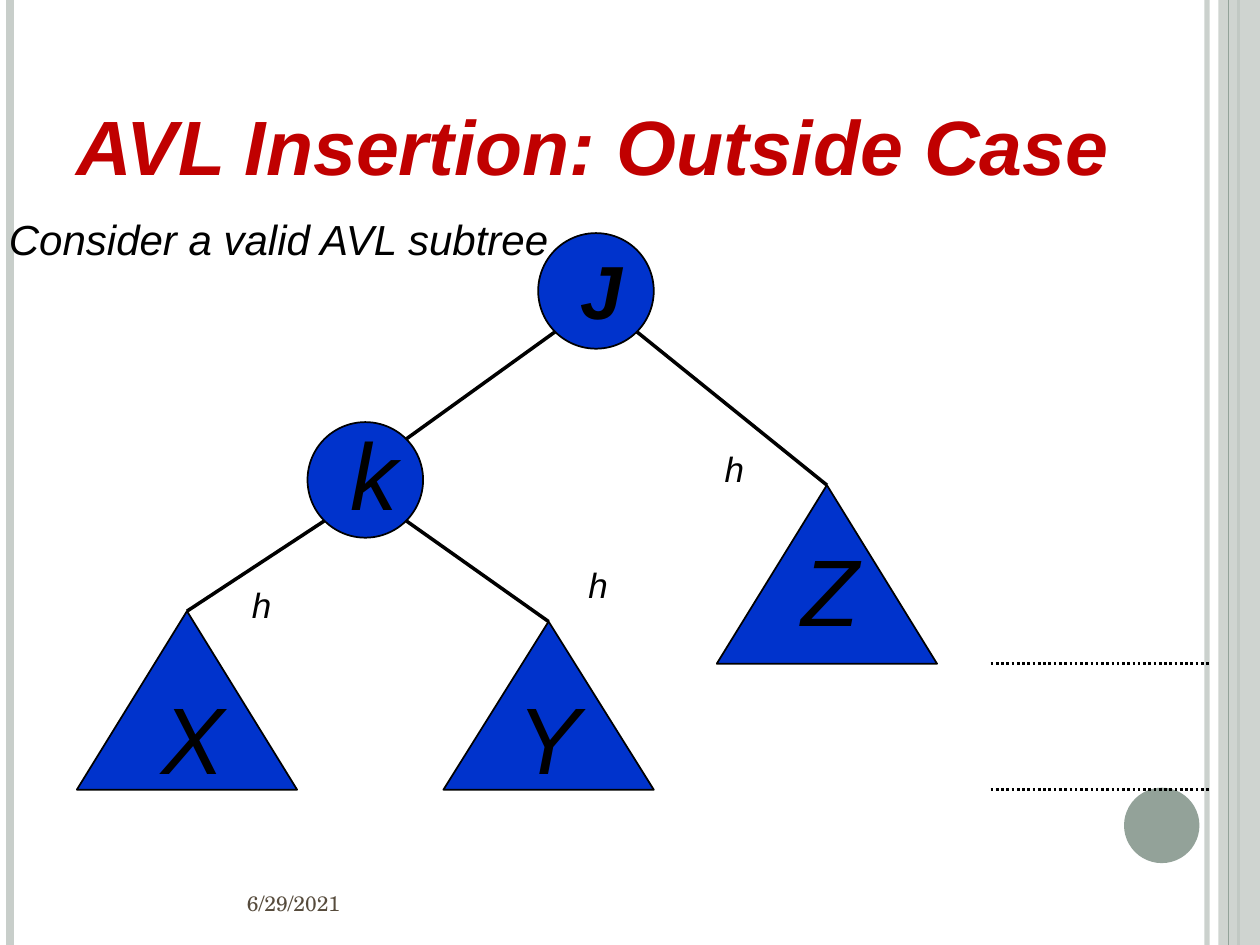
from lxml import etree
from pptx import Presentation
from pptx.dml import color
from pptx.enum import dml, shapes, text
from pptx.oxml import ns
from pptx import util as u

INK, BLUE, RED = "000000", "0033CC", "C00000"
PALE, SAGE, BROWN = "C8CECA", "93A299", "564B3C"
HIGH, WIDE = 19.05, 25.4


def paint(fill, tone, alpha=100):
    fill.solid()
    fill.fore_color.rgb = color.RGBColor.from_string(tone)
    if alpha < 100:
        return lambda part: etree.SubElement(
            next(part.element.spPr.iter(ns.qn("a:srgbClr"))),
            ns.qn("a:alpha"), val=str(alpha * 1000))


def draw(slide, kind, box, tone, edge=None, alpha=100):
    part = slide.shapes.add_shape(kind, *map(u.Cm, box))
    part.shadow.inherit = False
    fade = paint(part.fill, tone, alpha)
    if fade:
        fade(part)
    if edge:
        paint(part.line.fill, edge)
        part.line.width = u.Pt(1)
    else:
        part.line.fill.background()


def rule(slide, start, end, tone, width, alpha=100, dash=None):
    line = slide.shapes.add_connector(
        shapes.MSO_CONNECTOR.STRAIGHT, *map(u.Cm, (*start, *end)))
    line.line.width = u.Pt(width)
    fade = paint(line.line.fill, tone, alpha)
    if fade:
        fade(line)
    if dash:
        line.line.dash_style = dash
    etree.SubElement(line.element.spPr, ns.qn("a:effectLst"))


def write(slide, words, box, size, tone=INK, bold=False, slant=True,
          face="Arial", side=text.PP_ALIGN.LEFT, inset=0):
    part = slide.shapes.add_textbox(*map(u.Cm, box))
    frame = part.text_frame
    frame.word_wrap = True
    frame.margin_left = frame.margin_right = u.Cm(inset)
    frame.margin_top = u.Cm(0.03)
    frame.margin_bottom = 0
    frame.text = words
    line = frame.paragraphs[0]
    line.alignment = side
    font = line.runs[0].font
    font.name, font.size = face, u.Pt(size)
    font.bold, font.italic = bold, slant
    font.color.rgb = color.RGBColor.from_string(tone)
    return frame


def frame_page(slide):
    def bar(x, tone, width, alpha=100):
        rule(slide, (x, 0), (x, HIGH), tone, width, alpha)

    bar(24.33, PALE, 3, 93)
    bar(0.2, PALE, 4.5)
    bar(24.97, SAGE, 1.5)
    draw(slide, shapes.MSO_SHAPE.RECTANGLE,
         (24.56, 0, 0.84, HIGH), PALE, alpha=87)
    bar(24.77, SAGE, 0.75)
    draw(slide, shapes.MSO_SHAPE.OVAL, (22.66, 15.88, 1.52, 1.52), SAGE)


def node(slide, box, name, shift, size=54, bold=False):
    x, y, wide, high = box
    draw(slide, shapes.MSO_SHAPE.OVAL, box, BLUE, INK)
    write(slide, name, (x + 0.86, y + shift, 1.05, 2.3), size, bold=bold)
    mid, reach = (x + wide / 2, y + high / 2), wide * 0.354
    return lambda dx, dy: (mid[0] + dx * reach, mid[1] + dy * reach)


def leaf(slide, box, name, shift):
    x, y, wide, high = box
    draw(slide, shapes.MSO_SHAPE.ISOSCELES_TRIANGLE, box, BLUE, INK)
    write(slide, name, (x + shift[0], y + shift[1], 1.35, 2.36), 54)
    return x + wide / 2, y


def tree(slide, left, top):
    root = node(slide, (left + 9.3, top, 2.33, 2.33), "J", 0.2, 43, True)
    child = node(slide, (left + 4.65, top + 3.81, 2.33, 2.33), "k", -0.15)
    x = leaf(slide, (left, top + 7.62, 4.44, 3.6), "X", (1.7, 1.35))
    y = leaf(slide, (left + 7.39, top + 7.83, 4.24, 3.39), "Y", (1.5, 1.14))
    z = leaf(slide, (left + 12.9, top + 5.08, 4.44, 3.6), "Z", (1.7, 0.92))
    for start, end in ((root(-1, 1), child(1, -1)), (child(-1, 1), x),
                       (child(1, 1), y), (root(1, 1), z)):
        rule(slide, start, end, INK, 2)
    for dx, dy in ((13.06, 4.3), (3.53, 7.04), (10.31, 6.63)):
        write(slide, "h", (left + dx, top + dy, 0.46, 0.91), 20)
    for dy in (8.68, 11.22):
        rule(slide, (left + 18.42, top + dy), (left + 22.86, top + dy),
             INK, 1.5, dash=dml.MSO_LINE.ROUND_DOT)


def words(slide):
    write(slide, "AVL Insertion: Outside Case",
          (1.55, 1.95, 21.8, 1.93), 44, RED, True)
    write(slide, "Consider a valid AVL subtree", (0.18, 4.27, 14.86, 1.07), 24)
    date = write(slide, "6/29/2021", (1.27, 17.7, 5.84, 0.97), 12, BROWN,
                 slant=False, face="TeX Gyre Schola",
                 side=text.PP_ALIGN.RIGHT, inset=0.25)
    date.vertical_anchor = text.MSO_ANCHOR.MIDDLE


def main():
    deck = Presentation()
    deck.slide_width, deck.slide_height = u.Cm(WIDE), u.Cm(HIGH)
    slide = deck.slides.add_slide(deck.slide_layouts[6])
    frame_page(slide)
    tree(slide, 1.55, 4.7)
    words(slide)
    deck.save("out.pptx")


if __name__ == "__main__":
    main()
